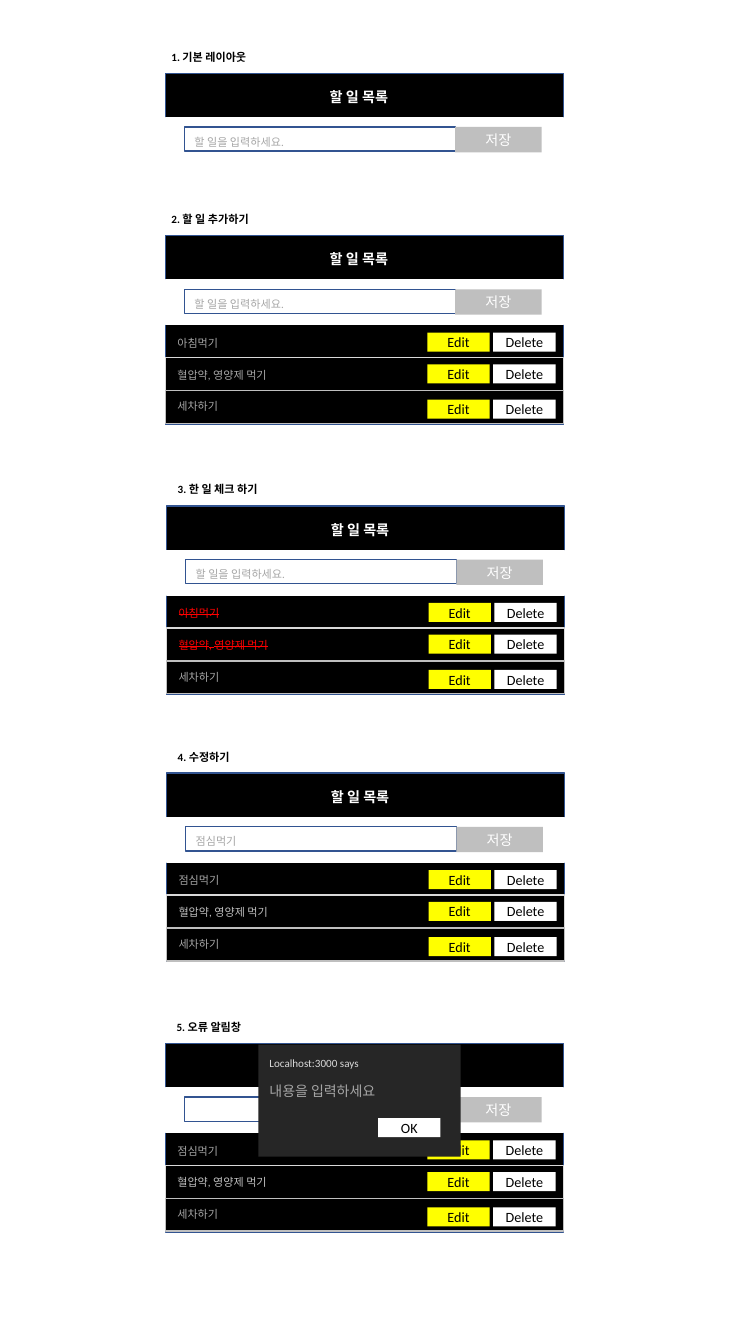
import dataclasses

import pptx
import pptx.dml.color
import pptx.enum.shapes
import pptx.enum.text
import pptx.util

Cm = pptx.util.Cm
Pt = pptx.util.Pt


@dataclasses.dataclass(frozen=True)
class Theme:
    """Colours, font and type sizes of the wireframes."""
    font: str = "Calibri"
    small: float = 7.9
    message: float = 10
    large: float = 10.1
    line: float = 1
    black: str = "000000"
    white: str = "FFFFFF"
    blue: str = "325491"
    yellow: str = "FFFF00"
    red: str = "FF0000"
    dialog: str = "262626"
    muted: str = "A6A6A6"
    grey: str = "BFBFBF"
    pale: str = "D9D9D9"


THEME = Theme()
BUTTON_SIZE = (1.57, 0.48)
BUTTON_TOPS = (2.44, 3.24, 4.13)
ROW_LINES = (THEME.blue, THEME.pale, THEME.grey)
ROW_TOP, ROW_HEIGHT = 2.24, 0.83
PROMPT = "할 일을 입력하세요."
TITLE = "할 일 목록"
MORNING, MEDICINE, CAR_WASH, LUNCH = "아침먹기", "혈압약, 영양제 먹기", "세차하기", "점심먹기"


def colour(value):
    """Turn a hex string into a colour."""
    return pptx.dml.color.RGBColor.from_string(value)


def add_box(slide, left, top, width, height, fill=None, line=None):
    """Add a plain rectangle, measured in centimetres."""
    shape = slide.shapes.add_shape(
        pptx.enum.shapes.MSO_SHAPE.RECTANGLE, Cm(left), Cm(top), Cm(width), Cm(height))
    shape.shadow.inherit = False
    if fill:
        shape.fill.solid()
        shape.fill.fore_color.rgb = colour(fill)
    else:
        shape.fill.background()
    if line:
        shape.line.color.rgb = colour(line)
        shape.line.width = Pt(THEME.line)
    else:
        shape.line.fill.background()
    return shape


def write(shape, text, size=THEME.small, color=THEME.muted, bold=False,
          strike=False, centered=False, before=0, append=False):
    """Write one formatted paragraph into a shape."""
    frame = shape.text_frame
    frame.word_wrap = True
    if centered:
        frame.vertical_anchor = pptx.enum.text.MSO_ANCHOR.MIDDLE
    else:
        frame.vertical_anchor = pptx.enum.text.MSO_ANCHOR.TOP
        frame.auto_size = pptx.enum.text.MSO_AUTO_SIZE.SHAPE_TO_FIT_TEXT
    paragraph = frame.add_paragraph() if append else frame.paragraphs[0]
    alignment = pptx.enum.text.PP_ALIGN
    paragraph.alignment = alignment.CENTER if centered else alignment.LEFT
    paragraph.space_before = Pt(before)
    run = paragraph.add_run()
    run.text = text
    run.font.name = THEME.font
    run.font.size = Pt(size)
    run.font.bold = bold
    run.font.color.rgb = colour(color)
    if strike:
        run.font._element.set("strike", "sngStrike")


def add_label(slide, left, top, width, height, text, **text_format):
    """Add a text box holding one paragraph."""
    label = slide.shapes.add_textbox(Cm(left), Cm(top), Cm(width), Cm(height))
    write(label, text, **text_format)
    return label


def add_button(slide, left, top, text, fill, color=THEME.black, size=BUTTON_SIZE):
    """Add a filled button with a centred caption."""
    button = add_box(slide, left, top, *size, fill=fill)
    write(button, text, size=THEME.large, color=color, centered=True)


def add_tasks(slide, left, top, width, tasks):
    """Add the task rows with their edit and delete buttons."""
    for index, (task, task_format) in enumerate(tasks):
        add_box(slide, left, top + ROW_TOP + index * ROW_HEIGHT, width, ROW_HEIGHT,
                line=ROW_LINES[index])
        add_label(slide, left + 0.05, top + 2.41 + index * 0.8, 4.72, 0.58, task, **task_format)
        button_top = top + BUTTON_TOPS[index]
        add_button(slide, left + 6.6, button_top, "Edit", THEME.yellow)
        add_button(slide, left + 8.26, button_top, "Delete", THEME.white)


def add_entry(slide, left, top, prompt):
    """Add the input field and its save button."""
    add_box(slide, left, top, 6.83, 0.61, line=THEME.blue)
    add_button(slide, left + 6.82, top, "저장", THEME.grey, THEME.white, (2.18, 0.64))
    if prompt:
        add_label(slide, left, top + 0.08, 4.72, 0.58, prompt)


def add_screen(slide, left, top, heading, indent, title=TITLE, prompt=PROMPT, tasks=()):
    """Add one to-do screen below its heading."""
    width = 10.03
    add_label(slide, left + indent, top - 0.71, 3.28, 0.58, heading,
              color=THEME.black, bold=True)
    add_box(slide, left, top, width, 4.75 if tasks else 2.29,
            fill=THEME.black, line=THEME.blue)
    add_tasks(slide, left, top, width, tasks)
    add_box(slide, left, top + 1.12, width, 1.12 if tasks else 1.22,
            fill=THEME.white, line=THEME.white)
    add_entry(slide, left + 0.48, top + 1.35, prompt)
    if title:
        title_box = add_box(slide, left + 3.89, top + 0.25, 2.46, 0.69, fill=THEME.black)
        write(title_box, title, size=THEME.large, color=THEME.white, bold=True)


def add_alert(slide, left, top):
    """Add the error dialog."""
    add_box(slide, left, top, 5.1, 2.82, fill=THEME.dialog)
    message = add_label(slide, left + 0.03, top + 0.18, 3.99, 1.35,
                        "Localhost:3000 says", color=THEME.pale)
    write(message, "내용을 입력하세요", size=THEME.message, before=9, append=True)
    add_button(slide, left + 3.02, top + 1.85, "OK", THEME.white)


def main():
    """Build and save the slide."""
    presentation = pptx.Presentation()
    presentation.slide_width = Cm(19.05)
    presentation.slide_height = Cm(33.86)
    slide = presentation.slides.add_slide(presentation.slide_layouts[6])
    done = {"color": THEME.red, "strike": True}
    bright = {"color": THEME.grey}
    edited = ((LUNCH, {}), (MEDICINE, bright), (CAR_WASH, {}))
    add_screen(slide, 4.17, 1.85, "1. 기본 레이아웃", -0.1)
    add_screen(slide, 4.17, 5.94, "2. 할 일 추가하기", -0.1,
               tasks=((MORNING, {}), (MEDICINE, {}), (CAR_WASH, {})))
    add_screen(slide, 4.2, 12.75, "3. 한 일 체크 하기", 0.03,
               tasks=((MORNING, done), (MEDICINE, done), (CAR_WASH, {})))
    add_screen(slide, 4.2, 19.48, "4. 수정하기", 0.03, prompt=LUNCH, tasks=edited)
    add_screen(slide, 4.17, 26.29, "5. 오류 알림창", 0.03, title="", prompt="", tasks=edited)
    add_alert(slide, 6.51, 26.32)
    presentation.save("out.pptx")


main()
